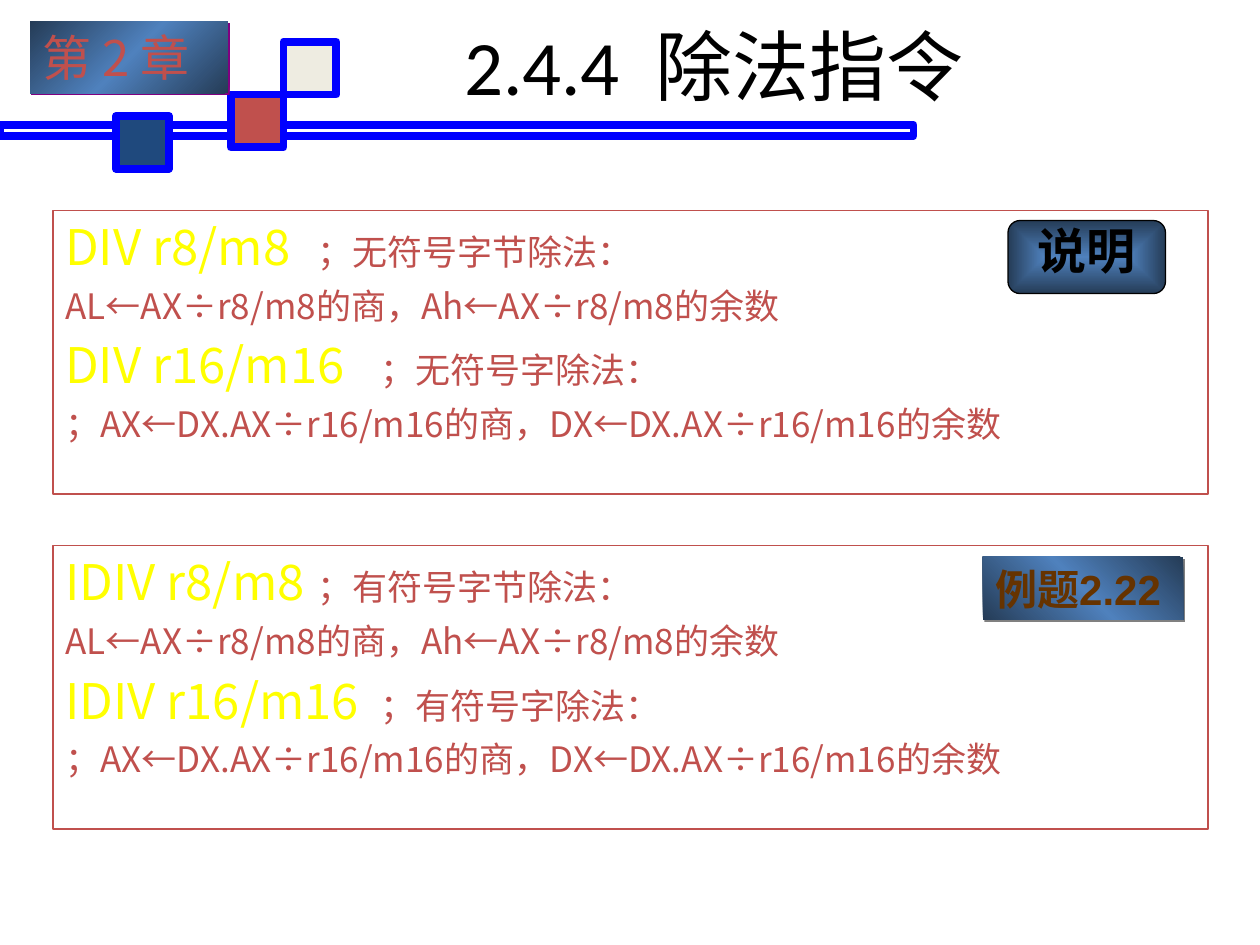
from lxml import etree
from pptx import Presentation, util as u
from pptx.dml.color import RGBColor
from pptx.enum import shapes, text
from pptx.oxml import ns, parse_xml

COLORS = {"red": "C0504D", "yellow": "FFFF00", "white": "FFFFFF", "black": "000000",
          "blue": "0000FF", "navy": "1F497D", "cream": "EEECE1", "brown": "663300",
          "gray": "808080", "purple": "800080", "steel": "4F81BD", "dark": "253C57"}
BODY_FONT = "Noto Sans CJK SC"
TITLE = "2.4.4  除法指令"
BYTE_RESULT = "AL←AX÷r8/m8的商，Ah←AX÷r8/m8的余数"
WORD_RESULT = "；AX←DX.AX÷r16/m16的商，DX←DX.AX÷r16/m16的余数"
PANELS = [("DIV", "无符号"), ("IDIV", "有符号")]
PANEL_TOP, PANEL_STEP = 1.67, 2.66
SQUARES = [(1.83, 0.75, "red"), (0.92, 0.92, "navy"), (2.25, 0.33, "cream")]
BAND = [(0, "dark"), (50, "steel"), (100, "dark")]
GLOW = [(0, "steel"), (100, "dark")]
BADGES = [
    dict(box=(7.8, 4.42, 1.59, 0.5), label="例题2.22", size=24, font="Arial",
         color="brown", bold=True, stops=BAND, angle=315, shadow="gray"),
    dict(box=(8, 1.75, 1.25, 0.58), label="说明", size=28, font="Arial",
         color="black", bold=True, stops=GLOW),
    dict(box=(0.24, 0.17, 1.57, 0.57), label="第 2 章", size=28,
         font="Noto Sans CJK JP", color="red", bold=False, stops=BAND,
         angle=45, shadow="purple"),
]


def rgb(name):
    return RGBColor.from_string(COLORS[name])


def style(font, size, color, name, bold=False):
    font.size, font.name, font.bold = u.Pt(size), name, bold
    font.color.rgb = rgb(color)


def east_asian(p, name):
    for r in p.runs:
        rpr = r.font._element
        latin = rpr.find(ns.qn("a:latin"))
        ea = etree.Element(ns.qn("a:ea"), typeface=name)
        if latin is None:
            rpr.append(ea)
        else:
            latin.addnext(ea)


def add_box(s, box, fill=None, line=None, width=1, kind=shapes.MSO_SHAPE.RECTANGLE):
    sp = s.shapes.add_shape(kind, *map(u.Inches, box))
    sp.shadow.inherit = False
    if fill:
        sp.fill.solid()
        sp.fill.fore_color.rgb = rgb(fill)
    else:
        sp.fill.background()
    if line:
        sp.line.color.rgb = rgb(line)
        sp.line.width = u.Pt(width)
    else:
        sp.line.fill.background()
    return sp


def set_gradient(sp, stops, angle=None):
    gs = "".join(f'<a:gs pos="{pos * 1000}"><a:srgbClr val="{COLORS[c]}"/></a:gs>'
                 for pos, c in stops)
    if angle is None:
        way = ('<a:path path="rect"><a:fillToRect l="50000" t="50000" '
               'r="50000" b="50000"/></a:path>')
    else:
        way = f'<a:lin ang="{angle * 60000}" scaled="1"/>'
    grad = parse_xml(f'<a:gradFill {ns.nsdecls("a")}><a:gsLst>{gs}</a:gsLst>{way}</a:gradFill>')
    spPr = sp._element.spPr
    spPr.replace(spPr.find(ns.qn("a:noFill")), grad)


def set_shadow(sp, color):
    effects = sp._element.spPr.find(ns.qn("a:effectLst"))
    effects.append(parse_xml(
        f'<a:outerShdw {ns.nsdecls("a")} blurRad="0" dist="{u.Pt(1.4)}" dir="2700000" '
        f'algn="ctr" rotWithShape="0"><a:srgbClr val="{COLORS[color]}"/></a:outerShdw>'))


def add_panel(s, top, op, sign):
    tf = add_box(s, (0.42, top, 9.17, 2.25), "white", "red").text_frame
    tf.vertical_anchor = text.MSO_ANCHOR.TOP
    lines = [(f"{op} r8/m8\t", f"；{sign}字节除法："), ("", BYTE_RESULT),
             (f"{op} r16/m16\t", f"；{sign}字除法："), ("", WORD_RESULT)]
    for i, (code, note) in enumerate(lines):
        p = tf.add_paragraph() if i else tf.paragraphs[0]
        p.alignment = text.PP_ALIGN.LEFT
        p.space_before = u.Pt(5 if i else 0)
        p.font.name = BODY_FONT
        for words, size, color in ((code, 28, "yellow"), (note, 20, "red")):
            if words:
                r = p.add_run()
                r.text = words
                style(r.font, size, color, BODY_FONT)
        east_asian(p, BODY_FONT)


def add_badge(s, box, label, size, font, color, bold, stops, angle=None, shadow=None):
    rounded = angle is None
    kind = shapes.MSO_SHAPE.ROUNDED_RECTANGLE if rounded else shapes.MSO_SHAPE.RECTANGLE
    sp = add_box(s, box, line="black" if rounded else None, width=0.75, kind=kind)
    set_gradient(sp, stops, angle)
    if shadow:
        set_shadow(sp, shadow)
    tf = sp.text_frame
    tf.word_wrap = False
    tf.vertical_anchor = text.MSO_ANCHOR.MIDDLE if rounded else text.MSO_ANCHOR.TOP
    p = tf.paragraphs[0]
    p.text = label
    p.alignment = text.PP_ALIGN.CENTER if rounded else text.PP_ALIGN.LEFT
    if rounded:
        p.line_spacing = 0.7
    style(p.font, size, color, font, bold)
    east_asian(p, "Noto Sans CJK SC" if font == "Arial" else font)


def main():
    prs = Presentation()
    prs.slide_width, prs.slide_height = u.Inches(10), u.Inches(7.5)
    s = prs.slides.add_slide(prs.slide_layouts[5])

    title = s.shapes.title
    title.left, title.top, title.width, title.height = map(u.Inches, (2.79, 0.21, 5.75, 0.61))
    tf = title.text_frame
    tf.vertical_anchor = text.MSO_ANCHOR.MIDDLE
    tf.auto_size = text.MSO_AUTO_SIZE.NONE
    p = tf.paragraphs[0]
    p.text = TITLE
    p.alignment = text.PP_ALIGN.CENTER
    style(p.font, 44, "black", "Calibri")
    east_asian(p, BODY_FONT)

    for i, (op, sign) in enumerate(PANELS):
        add_panel(s, PANEL_TOP + i * PANEL_STEP, op, sign)
    add_box(s, (0, 0.99, 7.25, 0.09), line="blue", width=4.5)
    for left, top, color in SQUARES:
        add_box(s, (left, top, 0.42, 0.42), color, "blue", 4.5)
    for badge in BADGES:
        add_badge(s, **badge)
    prs.save("out.pptx")


if __name__ == "__main__":
    main()
